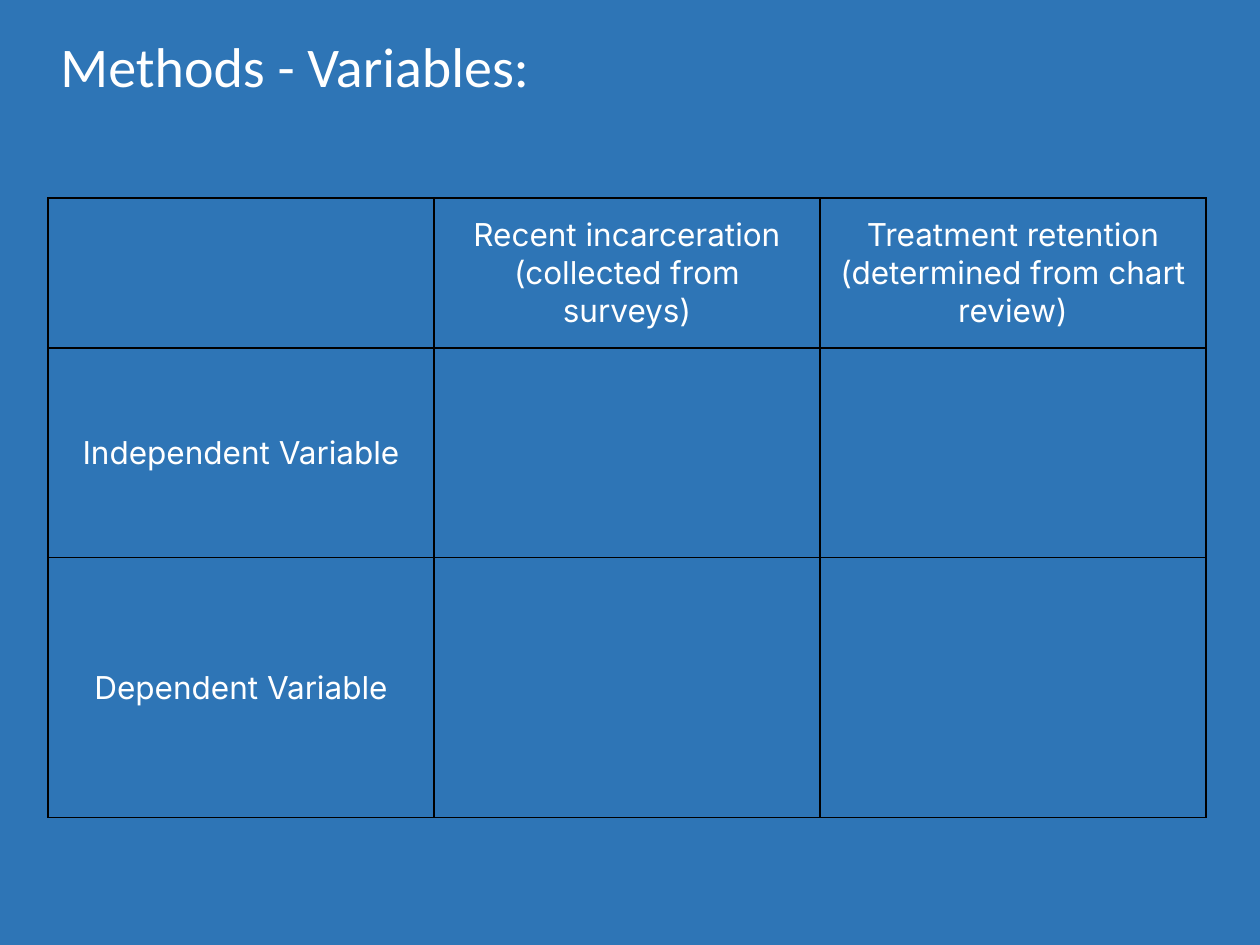
from lxml.etree import SubElement
from pptx import Presentation
from pptx.dml.color import RGBColor
from pptx.enum.text import MSO_ANCHOR, PP_ALIGN
from pptx.oxml.ns import qn
from pptx.util import Pt

EMU_PER_PX = 914400 / 126
COLORS = {"background": "2E75B6", "text": "FFFFFF", "border": "000000"}
TITLE_FONT = {"name": "Calibri", "size": Pt(32)}
CELL_FONT = {"name": "Inter", "size": Pt(18)}
COLUMN_WIDTH = 386
ROW_HEIGHTS = [150, 210, 260]
CELL_TEXTS = [
    ["", "Recent incarceration\n(collected from surveys)",
     "Treatment retention (determined from chart review)"],
    ["Independent Variable", "", ""],
    ["Dependent Variable", "", ""],
]


def px(length):
    return round(length * EMU_PER_PX)


def write_text(text_frame, text, font_format, alignment):
    text_frame.text = text
    for paragraph in text_frame.paragraphs:
        paragraph.alignment = alignment
        for name, value in font_format.items():
            setattr(paragraph.font, name, value)
        for run in paragraph.runs:
            for name, value in font_format.items():
                setattr(run.font, name, value)
            run.font.color.rgb = RGBColor.from_string(COLORS["text"])


def add_borders(cell):
    properties = cell._tc.get_or_add_tcPr()
    for side in ("L", "R", "T", "B"):
        line = SubElement(properties, qn(f"a:ln{side}"), w=str(Pt(0.75)))
        fill = SubElement(line, qn("a:solidFill"))
        SubElement(fill, qn("a:srgbClr"), val=COLORS["border"])


def add_title(slide, text):
    title = slide.shapes.add_textbox(px(48), px(25), px(1212), px(81))
    title.text_frame.word_wrap = True
    write_text(title.text_frame, text, TITLE_FONT, PP_ALIGN.LEFT)


def add_variables_table(slide):
    column_count = len(CELL_TEXTS[0])
    table = slide.shapes.add_table(
        len(CELL_TEXTS), column_count, px(48), px(198),
        px(COLUMN_WIDTH * column_count), px(sum(ROW_HEIGHTS))).table
    table.first_row = False
    table.horz_banding = False
    for column in table.columns:
        column.width = px(COLUMN_WIDTH)
    for row, height, texts in zip(table.rows, ROW_HEIGHTS, CELL_TEXTS):
        row.height = px(height)
        for cell, text in zip(row.cells, texts):
            add_borders(cell)
            cell.fill.background()
            cell.vertical_anchor = MSO_ANCHOR.MIDDLE
            write_text(cell.text_frame, text, CELL_FONT, PP_ALIGN.CENTER)


def main():
    presentation = Presentation()
    presentation.slide_width = px(1260)
    presentation.slide_height = px(945)
    slide = presentation.slides.add_slide(presentation.slide_layouts[6])
    slide.background.fill.solid()
    slide.background.fill.fore_color.rgb = RGBColor.from_string(COLORS["background"])
    add_title(slide, "Methods - Variables:")
    add_variables_table(slide)
    presentation.save("out.pptx")


if __name__ == "__main__":
    main()
